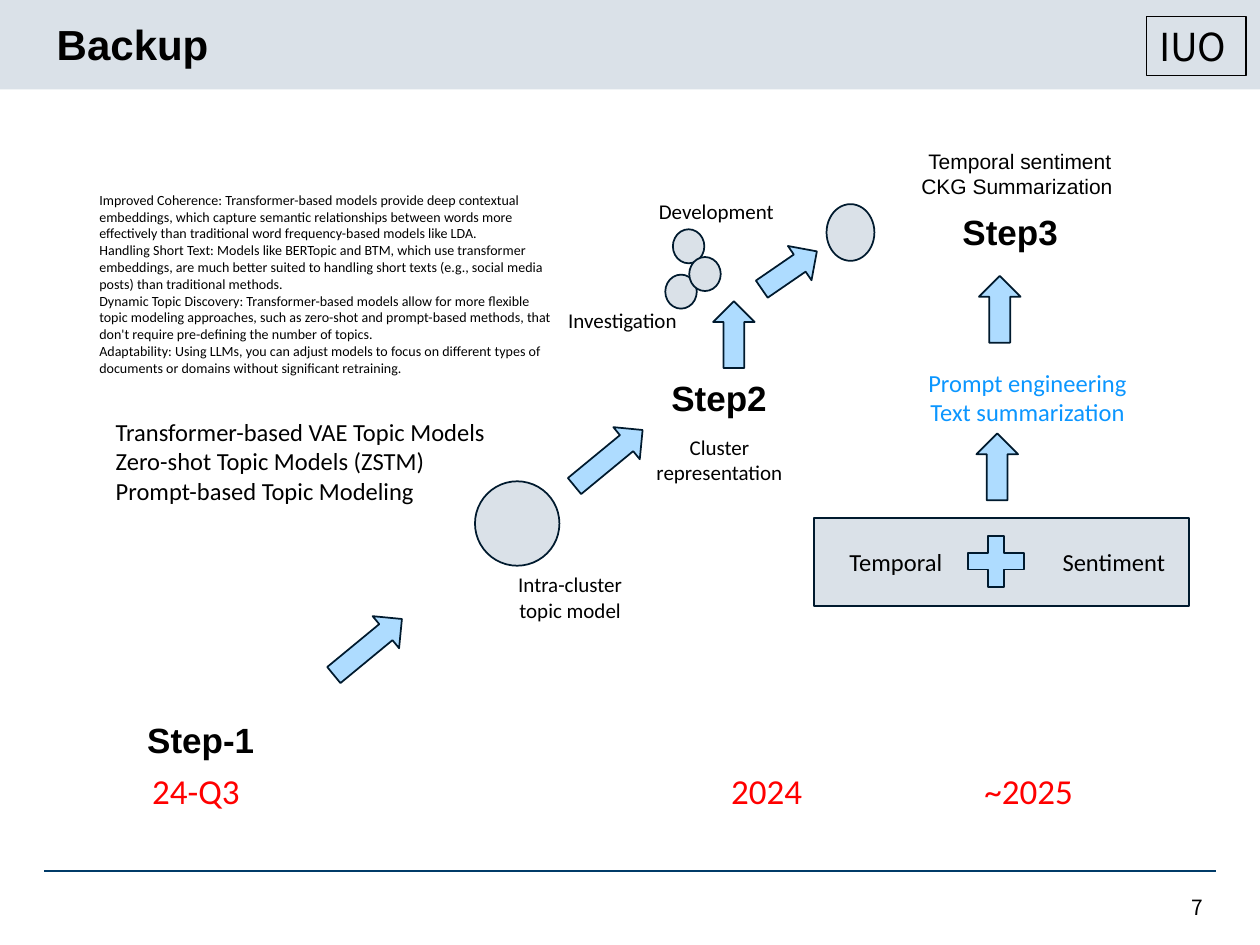
import pptx
import pptx.util
import pptx.dml.color
import pptx.enum.shapes
import pptx.enum.text
import pptx.oxml

Inches = pptx.util.Inches
Pt = pptx.util.Pt
KIND = pptx.enum.shapes.MSO_SHAPE
ALIGN = pptx.enum.text.PP_ALIGN
MID = pptx.enum.text.MSO_ANCHOR.MIDDLE

BLACK, RED, BLUE = "000000", "FF0000", "0B96FF"
GREY, SKY, NAVY, INK = "DAE1E8", "AEDCFF", "003B68", "001A2E"

TITLE = "Backup"
MARK = "IUO"
NUMBER = "7"

STEPS = [
    ("Step-1", 1.07, 5.65, 1.06),
    ("Step2", 5.23, 2.94, 0.97),
    ("Step3", 7.54, 1.62, 0.97),
]
DATES = [("24-Q3", 1.07), ("2024", 5.6), ("~2025", 7.68)]
LABELS = [
    (["Intra-cluster topic model"], 3.94, 4.49, 1.17, 0.5),
    (["Cluster representation"], 5.05, 3.4, 1.32, 0.5),
    (["Development"], 5.1, 1.53, 1.17, 0.3),
    (["Investigation"], 4.28, 2.39, 1.32, 0.3),
]
GOAL = ["Temporal sentiment", "CKG Summarization "]
PROMPT = ["Prompt engineering", "Text summarization"]
INPUTS = [("Temporal", 6.45, 1.32), ("Sentiment", 8.22, 1.24)]
MODELS = [
    "Transformer-based VAE Topic Models",
    "Zero-shot Topic Models (ZSTM)",
    "Prompt-based Topic Modeling",
]
GAINS = [
    "Improved Coherence: Transformer-based models provide deep contextual embeddings, "
    "which capture semantic relationships between words more effectively than "
    "traditional word frequency-based models like LDA.",
    "Handling Short Text: Models like BERTopic and BTM, which use transformer embeddings, "
    "are much better suited to handling short texts (e.g., social media posts) than "
    "traditional methods.",
    "Dynamic Topic Discovery: Transformer-based models allow for more flexible topic "
    "modeling approaches, such as zero-shot and prompt-based methods, that don't require "
    "pre-defining the number of topics.",
    "Adaptability: Using LLMs, you can adjust models to focus on different types of "
    "documents or domains without significant retraining.",
]
DOTS = [
    (3.77, 3.82, 0.67, 0.67),
    (5.34, 1.82, 0.25, 0.27),
    (5.28, 2.18, 0.25, 0.27),
    (5.47, 2.04, 0.25, 0.27),
    (6.56, 1.62, 0.38, 0.45),
]
ARROWS = [
    (2.57, 4.97, 0.7, 320.5),
    (4.48, 3.47, 0.7, 320.5),
    (5.56, 2.49, 0.53, 270),
    (6, 1.98, 0.53, 325.5),
    (7.67, 2.29, 0.53, 270),
    (7.65, 3.54, 0.53, 270),
]

deck = pptx.Presentation()
deck.slide_width, deck.slide_height = Inches(10), Inches(7.5)
page = deck.slides.add_slide(deck.slide_layouts[5])


def tint(hue):
    return pptx.dml.color.RGBColor.from_string(hue)


def write(frame, lines, size, font="Calibri", hue=BLACK, bold=False, align=ALIGN.LEFT):
    for i, line in enumerate(lines):
        para = frame.paragraphs[0] if i == 0 else frame.add_paragraph()
        para.alignment = align
        run = para.add_run()
        run.text = line
        run.font.size, run.font.name, run.font.bold = Pt(size), font, bold
        run.font.color.rgb = tint(hue)


def label(lines, x, y, w, h, size, wrap=True, **style):
    frame = page.shapes.add_textbox(*map(Inches, (x, y, w, h))).text_frame
    frame.word_wrap = wrap
    write(frame, lines, size, **style)
    return frame


def draw(kind, x, y, w, h, fill=None, line=INK, width=1, turn=0):
    shape = page.shapes.add_shape(kind, *map(Inches, (x, y, w, h)))
    shape.shadow.inherit = False
    shape.rotation = turn
    if fill:
        shape.fill.solid()
        shape.fill.fore_color.rgb = tint(fill)
    else:
        shape.fill.background()
    if line:
        shape.line.color.rgb = tint(line)
        shape.line.width = Pt(width)
    else:
        shape.line.fill.background()
    return shape


title = page.shapes.title
band = draw(KIND.RECTANGLE, 0, 0, 10, 0.71, GREY, None)
title.element.addprevious(band.element)
title.left, title.top, title.width, title.height = map(Inches, (0.35, 0.19, 8.98, 0.36))
head = title.text_frame
head.auto_size = pptx.enum.text.MSO_AUTO_SIZE.NONE
head.vertical_anchor = MID
head.margin_top = head.margin_bottom = 0
write(head, [TITLE], 24, "Arial", bold=True)
head.paragraphs[0].line_spacing = 0.9

rule = page.shapes.add_connector(
    pptx.enum.shapes.MSO_CONNECTOR.STRAIGHT, *map(Inches, (0.35, 6.91, 9.65, 6.91)))
rule.line.color.rgb = tint(NAVY)
rule.line.width = Pt(1)
rule.element.spPr.append(pptx.oxml.parse_xml(
    '<a:effectLst xmlns:a="http://schemas.openxmlformats.org/drawingml/2006/main"/>'))

badge = draw(KIND.RECTANGLE, 9.1, 0.13, 0.79, 0.47, line=BLACK, width=0.75).text_frame
badge.word_wrap = False
badge.vertical_anchor = MID
write(badge, [MARK], 22, "Noto Sans CJK JP")
foot = label([NUMBER], 9.13, 7, 0.52, 0.4, 12, font="Noto Sans CJK JP", align=ALIGN.RIGHT)
foot.vertical_anchor = MID

draw(KIND.RECTANGLE, 6.46, 4.11, 2.98, 0.7, GREY)
draw(KIND.MATH_PLUS, 7.6, 4.18, 0.61, 0.55, SKY)
for dot in DOTS:
    draw(KIND.OVAL, *dot, GREY)
for x, y, w, turn in ARROWS:
    draw(KIND.RIGHT_ARROW, x, y, w, 0.33, SKY, turn=turn)

for text, x, y, w in STEPS:
    label([text], x, y, w, 0.44, 20, wrap=False, font="Arial", bold=True)
for text, x in DATES:
    label([text], x, 6.06, 0.97, 0.44, 20, hue=RED, align=ALIGN.CENTER)
for place in LABELS:
    label(*place, 12, align=ALIGN.CENTER)
for text, x, w in INPUTS:
    label([text], x, 4.29, w, 0.34, 14, align=ALIGN.CENTER)
label(GOAL, 7.13, 1.13, 1.93, 0.5, 12, font="Arial", align=ALIGN.CENTER)
label(PROMPT, 7.13, 2.87, 2.05, 0.57, 14, hue=BLUE, align=ALIGN.CENTER)
label(MODELS, 0.82, 3.26, 3.31, 0.81, 14)
label(GAINS, 0.69, 1.47, 3.84, 1.58, 8)

deck.save("out.pptx")
